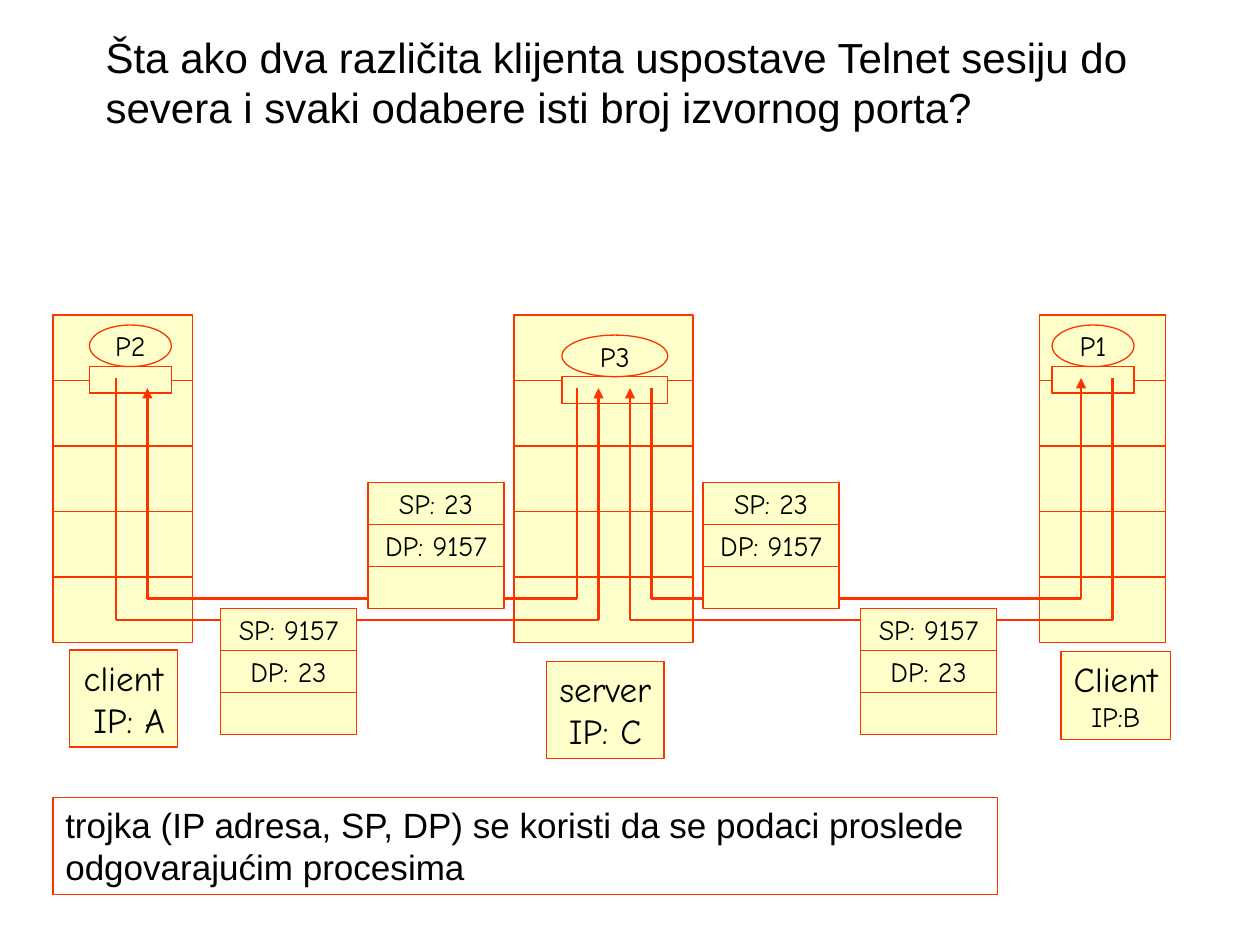
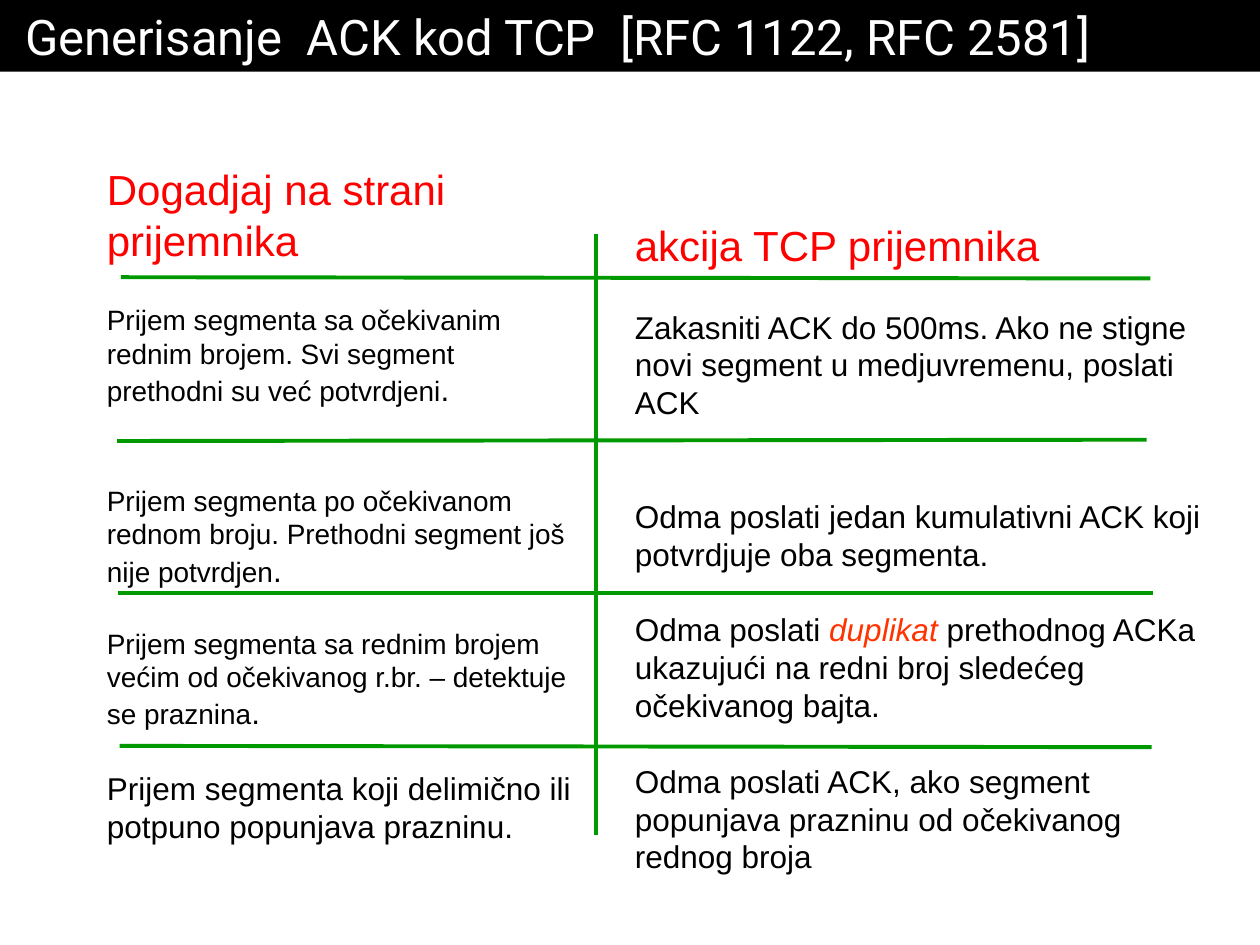
from dataclasses import dataclass
from typing import Optional

from lxml import etree
from pptx import Presentation
from pptx.dml.color import RGBColor
from pptx.enum.shapes import MSO_CONNECTOR as Connector, MSO_SHAPE as Shape
from pptx.enum.text import MSO_ANCHOR as Anchor, PP_ALIGN as Align
from pptx.oxml.ns import qn
from pptx.util import Inches, Pt

COLORS = {
    "black": "000000",
    "white": "FFFFFF",
    "cream": "FFFFCC",
    "orange": "FF3300",
    "red": "FF0000",
    "green": "009900",
}
BODY_FONT = "Arial"
DIAGRAM_FONT = "Comic Neue"
TITLE_FONT = "Roboto"
LINE_GAP = 21.7  # height in points of one 18 pt line


@dataclass
class Span:
    text: str
    size: float = 18
    color: str = "black"
    italic: bool = False


@dataclass
class Entry:
    """A paragraph of a column, with the lines left free above it."""
    spans: list[Span]
    free_lines: int = 1


@dataclass
class Host:
    left: float
    width: float
    process: str
    process_left: float
    process_top: float
    process_width: float
    label_box: tuple[float, float, float, float]
    label: list[tuple[str, int]]


@dataclass
class Flow:
    """Down from the sender, along the network, up to the receiver."""
    start: tuple[float, float]
    network_y: float
    end: tuple[float, float]


@dataclass
class Packet:
    left: float
    top: float
    source_port: int
    target_port: int


HOSTS = [
    Host(0.42, 1.11, "P2", 0.71, 2.58, 0.65, (0.55, 5.16, 0.86, 0.77),
         [("client", 20), (" IP: A", 20)]),
    Host(8.25, 1, "P1", 8.35, 2.58, 0.65, (8.42, 5.17, 0.87, 0.7),
         [("Client", 20), ("IP:B", 16)]),
    Host(4.08, 1.42, "P3", 4.46, 2.66, 0.84, (4.34, 5.25, 0.93, 0.77),
         [("server", 20), ("IP: C", 20)]),
]
FLOWS = [
    Flow((0.92, 3), 4.92, (4.75, 3.08)),
    Flow((4.58, 3.08), 4.75, (1.17, 3.08)),
    Flow((8.83, 3), 4.92, (5, 3.08)),
    Flow((5.17, 3.08), 4.75, (8.58, 3)),
]
PACKETS = [
    Packet(2.92, 3.83, 23, 9157),
    Packet(1.75, 4.83, 9157, 23),
    Packet(5.58, 3.83, 23, 9157),
    Packet(6.83, 4.83, 9157, 23),
]
EVENTS = [
    Entry([Span("Dogadjaj na strani prijemnika", 24, "red")], 0),
    Entry([Span("Prijem segmenta sa očekivanim rednim brojem. Svi segment "
                "prethodni su već potvrdjeni", 16), Span(".")]),
    Entry([Span("Prijem segmenta po očekivanom rednom broju. Prethodni "
                "segment još nije potvrdjen", 16), Span(".")], 2),
    Entry([Span("Prijem segmenta sa rednim brojem većim od očekivanog r.br. "
                "– detektuje se praznina", 16), Span(".")]),
    Entry([Span("Prijem segmenta koji delimično ili potpuno popunjava "
                "prazninu.")]),
]
ACTIONS = [
    Entry([Span("akcija TCP prijemnika", 24, "red")], 0),
    Entry([Span("Zakasniti ACK do 500ms. Ako ne stigne novi segment u "
                "medjuvremenu, poslati ACK")]),
    Entry([Span("Odma poslati jedan kumulativni ACK koji potvrdjuje oba "
                "segmenta.")], 2),
    Entry([Span("Odma poslati "), Span("duplikat ", 18, "orange", True),
           Span("prethodnog ACKa ukazujući na redni broj sledećeg "
                "očekivanog bajta.")]),
    Entry([Span("Odma poslati ACK, ako segment popunjava prazninu od "
                "očekivanog rednog broja")]),
]
GRID_LINES = [
    ((0.96, 2.2), (9.13, 2.21)),
    ((0.93, 3.5), (9.1, 3.49)),
    ((0.94, 4.71), (9.15, 4.71)),
    ((0.95, 5.92), (9.14, 5.93)),
    ((4.73, 1.86), (4.73, 6.63)),
]


# Shared helpers
def rgb(name: str) -> RGBColor:
    return RGBColor.from_string(COLORS[name])


def add_span(para, text: str, *, size: float = 18, font: str = BODY_FONT,
             color: str = "black", italic: bool = False) -> None:
    span = para.add_run()
    span.text = text
    span.font.name = font
    span.font.size = Pt(size)
    span.font.italic = italic
    span.font.color.rgb = rgb(color)


def add_para(frame, *, align=Align.LEFT, space_before: float = 0):
    """Use the empty first paragraph, or append one with a gap above."""
    first = frame.paragraphs[0]
    para = frame.add_paragraph() if first.runs else first
    para.alignment = align
    para.space_before = Pt(space_before)
    return para


def add_text(frame, text: str, *, align=Align.LEFT, **style):
    para = add_para(frame, align=align)
    add_span(para, text, **style)
    return para


def add_box(page, left: float, top: float, width: float, height: float, *,
            kind=Shape.RECTANGLE, fill: Optional[str] = "cream",
            line: Optional[str] = "orange", anchor=Anchor.MIDDLE,
            wrap: bool = False):
    box = page.shapes.add_shape(kind, Inches(left), Inches(top),
                                Inches(width), Inches(height))
    box.shadow.inherit = False
    if fill:
        box.fill.solid()
        box.fill.fore_color.rgb = rgb(fill)
    else:
        box.fill.background()
    if line:
        box.line.color.rgb = rgb(line)
        box.line.width = Pt(0.75)
    else:
        box.line.fill.background()
    box.text_frame.word_wrap = wrap
    box.text_frame.vertical_anchor = anchor
    return box


def add_text_box(page, left: float, top: float, width: float, height: float):
    box = page.shapes.add_textbox(Inches(left), Inches(top),
                                  Inches(width), Inches(height))
    box.text_frame.word_wrap = True
    return box.text_frame


def add_line(page, start: tuple[float, float], end: tuple[float, float], *,
             color: str, width: float, arrow: bool = False) -> None:
    line = page.shapes.add_connector(Connector.STRAIGHT,
                                     *map(Inches, start + end))
    line.line.color.rgb = rgb(color)
    line.line.width = Pt(width)
    if arrow:
        etree.SubElement(line.line._get_or_add_ln(), qn("a:tailEnd"),
                         type="triangle")
    etree.SubElement(line._element.spPr, qn("a:effectLst"))


# Slide 1: two clients and a server
def draw_host(page, host: Host) -> None:
    layer_height = 0.52
    for layer in range(5):
        add_box(page, host.left, 2.5 + layer * layer_height, host.width,
                layer_height)
    oval_height = 0.33
    add_box(page, host.process_left, host.process_top + oval_height,
            host.process_width, 0.21)
    oval = add_box(page, host.process_left, host.process_top,
                   host.process_width, oval_height, kind=Shape.OVAL)
    add_text(oval.text_frame, host.process, align=Align.CENTER, size=16,
             font=DIAGRAM_FONT)
    label = add_box(page, *host.label_box, anchor=Anchor.TOP)
    for text, size in host.label:
        add_text(label.text_frame, text, align=Align.CENTER, size=size,
                 font=DIAGRAM_FONT)


def draw_flow(page, flow: Flow) -> None:
    points = [flow.start, (flow.start[0], flow.network_y),
              (flow.end[0], flow.network_y), flow.end]
    for start, end in zip(points, points[1:]):
        add_line(page, start, end, color="orange", width=1.5,
                 arrow=end == flow.end)


def draw_packet(page, packet: Packet) -> None:
    height = 1 / 3
    rows = [f"SP: {packet.source_port}", f"DP: {packet.target_port}", ""]
    for index, text in enumerate(rows):
        box = add_box(page, packet.left, packet.top + index * height, 1.08,
                      height)
        if text:
            add_text(box.text_frame, text, align=Align.CENTER, size=16,
                     font=DIAGRAM_FONT)


def build_ports_slide(page) -> None:
    for host in HOSTS:
        draw_host(page, host)
    for flow in FLOWS:
        draw_flow(page, flow)
    for packet in PACKETS:
        draw_packet(page, packet)

    summary = add_box(page, 0.42, 6.33, 7.5, 0.77, fill=None,
                      anchor=Anchor.TOP, wrap=True)
    add_text(summary.text_frame, "trojka (IP adresa, SP, DP) se koristi da se "
             "podaci proslede odgovarajućim procesima", size=20)

    question = add_text(
        add_text_box(page, 0.5, 0.2, 8.77, 0.9),
        "Šta ako dva različita klijenta uspostave Telnet sesiju do severa i "
        "svaki odabere isti broj izvornog porta?", size=24)
    question._p.get_or_add_pPr().set("marL", str(Inches(0.24)))


# Slide 2: events and actions of the receiver
def draw_column(page, area: tuple[float, float, float, float],
                entries: list[Entry]) -> None:
    frame = add_text_box(page, *area)
    for entry in entries:
        para = add_para(frame, space_before=entry.free_lines * LINE_GAP)
        for span in entry.spans:
            add_span(para, span.text, size=span.size, color=span.color,
                     italic=span.italic)


def build_ack_slide(page) -> None:
    draw_column(page, (0.75, 1.25, 3.92, 5.8), EVENTS)
    draw_column(page, (4.94, 1.69, 4.81, 5.6), ACTIONS)
    for start, end in GRID_LINES:
        add_line(page, start, end, color="green", width=2.25)

    band = add_box(page, 0, 0, 10, 0.57, fill="black", line=None, wrap=True)
    band.text_frame.margin_left = band.text_frame.margin_right = Inches(0.2)
    add_text(band.text_frame, "Generisanje  ACK kod TCP  [RFC 1122, RFC 2581]",
             size=28, font=TITLE_FONT, color="white")


def main() -> None:
    deck = Presentation()
    deck.slide_width, deck.slide_height = Inches(10), Inches(7.5)
    for build in (build_ports_slide, build_ack_slide):
        build(deck.slides.add_slide(deck.slide_layouts[6]))
    deck.save("out.pptx")


if __name__ == "__main__":
    main()
